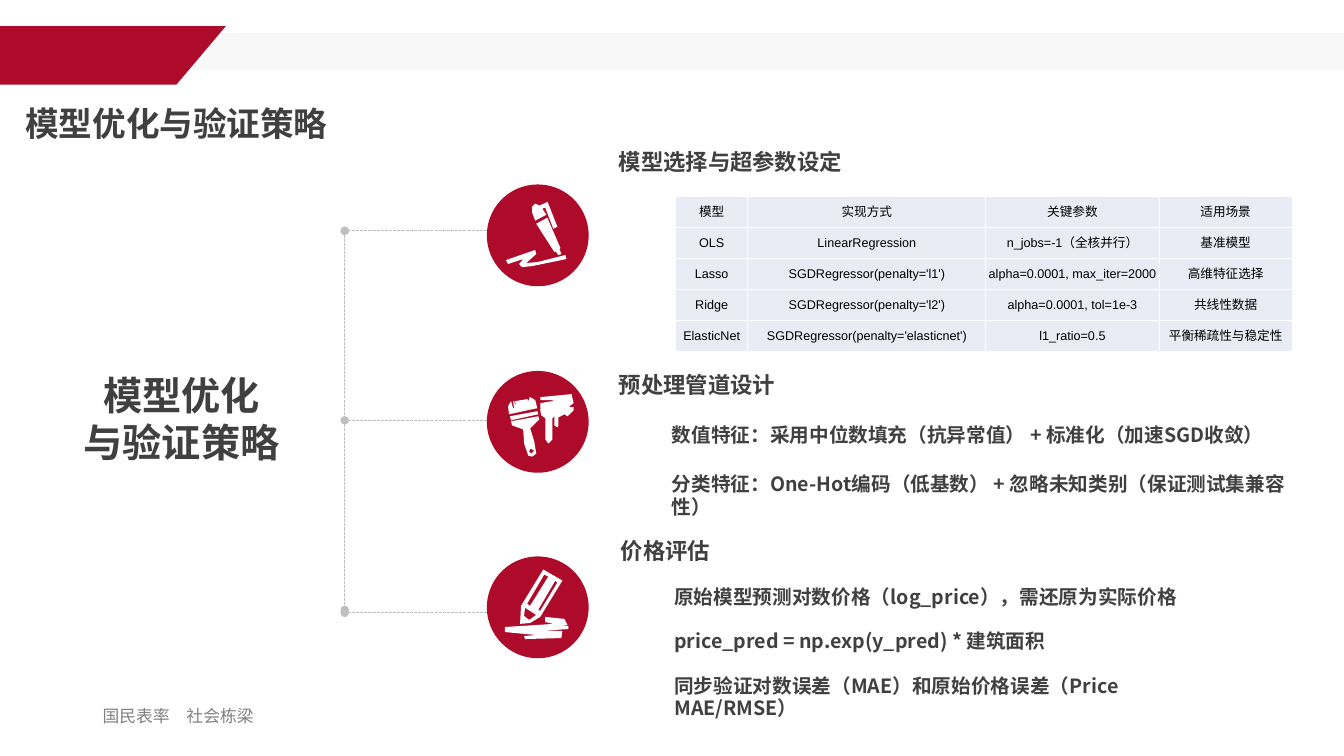
from dataclasses import dataclass

from lxml.etree import SubElement
from pptx import Presentation
from pptx.dml.color import RGBColor
from pptx.enum.dml import MSO_LINE_DASH_STYLE as Dash
from pptx.enum.lang import MSO_LANGUAGE_ID as Language
from pptx.enum.shapes import MSO_CONNECTOR as Connector, MSO_SHAPE as Shape
from pptx.enum.text import MSO_ANCHOR as Anchor, MSO_AUTO_SIZE as AutoSize, PP_ALIGN as Align
from pptx.oxml.ns import qn
from pptx.util import Pt


@dataclass(frozen=True)
class Theme:
    red: str = "AE0B2A"
    band: str = "F2F2F2"
    white: str = "FFFFFF"
    black: str = "000000"
    dark: str = "404040"
    gray: str = "808080"
    line: str = "BFBFBF"
    cell: str = "E9EBF5"
    heading_font: str = "Calibri"
    body_font: str = "Noto Sans CJK SC"
    table_font: str = "Arial"
    hero_size: int = 28
    title_size: int = 24
    heading_size: int = 16
    body_size: int = 14
    footer_size: int = 12
    table_size: int = 9
    unit: float = 0.72


class SlideBuilder:
    def __init__(self, slide, theme):
        self.slide, self.shapes, self.theme = slide, slide.shapes, theme

    def place(self, shape, left, top, width, height):
        shape.left, shape.top = Pt(left), Pt(top)
        shape.width, shape.height = Pt(width), Pt(height)

    def paint(self, shape, color):
        shape.shadow.inherit = False
        shape.fill.solid()
        shape.fill.fore_color.rgb = RGBColor.from_string(color)
        shape.line.fill.background()

    def format(self, paragraph, font, size, color, bold=True, align=Align.LEFT):
        paragraph.alignment = align
        for run in paragraph.runs:
            run.font.name, run.font.size, run.font.bold = font, Pt(size), bold
            run.font.color.rgb = RGBColor.from_string(color)
            run.font.language_id = Language.SIMPLIFIED_CHINESE
            SubElement(run.font._element, qn("a:ea")).set("typeface", font)

    def frame(self, shape, text, inset=True):
        frame = shape.text_frame
        frame.text = text
        frame.word_wrap = True
        frame.auto_size = AutoSize.NONE
        frame.vertical_anchor = Anchor.TOP
        if not inset:
            frame.margin_left = frame.margin_right = frame.margin_top = frame.margin_bottom = 0
        return frame

    def title(self, text, box):
        shape = self.shapes.title
        self.place(shape, *box)
        paragraph = self.frame(shape, text).paragraphs[0]
        self.format(paragraph, self.theme.heading_font, self.theme.title_size, self.theme.dark)

    def body(self, index, lines, box, gap):
        shape = self.slide.placeholders[index]
        self.place(shape, *box)
        for number, paragraph in enumerate(self.frame(shape, "\n".join(lines), False).paragraphs):
            self.format(paragraph, self.theme.body_font, self.theme.body_size, self.theme.dark)
            paragraph.line_spacing = Pt(16)
            paragraph.space_before = Pt(gap if number else 0)
            properties = paragraph._p.get_or_add_pPr()
            properties.set("marL", "0")
            properties.set("indent", "0")
            SubElement(properties, qn("a:buNone"))

    def text(self, text, box, font, size, color, bold=True, align=Align.LEFT, inset=False):
        shape = self.shapes.add_textbox(*map(Pt, box))
        for paragraph in self.frame(shape, text, inset).paragraphs:
            self.format(paragraph, font, size, color, bold, align)

    def heading(self, text, left, top):
        self.text(text, (left, top, 180, 26), self.theme.heading_font,
                  self.theme.heading_size, self.theme.dark)

    def shape(self, kind, box, color, alpha=None):
        shape = self.shapes.add_shape(kind, *map(Pt, box))
        self.paint(shape, color)
        if alpha is not None:
            color_element = shape.fill._xPr.find(qn("a:solidFill"))[0]
            SubElement(color_element, qn("a:alpha")).set("val", str(alpha * 1000))

    def outline(self, contours, left, top, color):
        first, *others = contours
        builder = self.shapes.build_freeform(*first[0], scale=Pt(self.theme.unit))
        builder.add_line_segments(first[1:], close=True)
        for contour in others:
            builder.move_to(*contour[0])
            builder.add_line_segments(contour[1:], close=True)
        self.paint(builder.convert_to_shape(Pt(left), Pt(top)), color)

    def dotted_line(self, *ends):
        connector = self.shapes.add_connector(Connector.STRAIGHT, *map(Pt, ends))
        connector.line.color.rgb = RGBColor.from_string(self.theme.line)
        connector.line.width = Pt(0.75)
        connector.line.dash_style = Dash.SQUARE_DOT
        line = connector.line._get_or_add_ln()
        for end in ("a:headEnd", "a:tailEnd"):
            SubElement(line, qn(end)).set("type", "oval")
        SubElement(connector._element.spPr, qn("a:effectLst"))

    def cell(self, cell, text):
        cell.text = text
        cell.vertical_anchor = Anchor.MIDDLE
        cell.margin_left = cell.margin_right = cell.margin_top = Pt(0.72)
        cell.margin_bottom = 0
        self.format(cell.text_frame.paragraphs[0], self.theme.table_font,
                    self.theme.table_size, self.theme.black, False, Align.CENTER)
        for side in "LRTB":
            border = SubElement(cell._tc.get_or_add_tcPr(), qn(f"a:ln{side}"), w=str(Pt(1)))
            fill = SubElement(border, qn("a:solidFill"))
            SubElement(fill, qn("a:srgbClr")).set("val", self.theme.white)
        cell.fill.solid()
        cell.fill.fore_color.rgb = RGBColor.from_string(self.theme.cell)

    def table(self, rows, left, top, widths, row_height):
        size = Pt(sum(widths)), Pt(row_height * len(rows))
        table = self.shapes.add_table(len(rows), len(widths), Pt(left), Pt(top), *size).table
        table.first_row = table.horz_banding = False
        for column, width in zip(table.columns, widths):
            column.width = Pt(width)
        for row, texts in zip(table.rows, rows):
            row.height = Pt(row_height)
            for cell, text in zip(row.cells, texts):
                self.cell(cell, text)


PEN = [
    [(49, 39), (60, 33), (73, 63), (72, 64), (74, 69), (71, 70), (68, 66), (67, 67)],
    [(19, 75), (21, 79), (36, 74), (32, 79), (35, 82), (45, 81), (79, 74), (78, 70),
     (50, 77), (39, 78), (49, 69), (48, 65)],
    [(52, 21), (48, 19), (45, 22), (45, 28), (48, 36), (59, 30), (55, 24), (58, 23),
     (66, 44), (70, 42), (61, 19), (60, 17), (59, 18)],
]
BRUSHES = [
    [(71, 46), (71, 54), (70, 56), (67, 54), (67, 45), (65, 47), (65, 68), (61, 72), (58, 68),
     (58, 47), (54, 44), (53, 39), (53, 32), (65, 30), (66, 29), (53, 29), (53, 26), (84, 23),
     (86, 32), (82, 35), (82, 36), (86, 36), (86, 39), (80, 45), (77, 43)],
    [(23, 45), (50, 40), (51, 43), (24, 49)],
    [(51, 45), (24, 50), (25, 54), (36, 58), (37, 72), (41, 84), (45, 85), (49, 82),
     (47, 70), (43, 57), (52, 48)],
    [(43, 77), (47, 79), (44, 82), (42, 80)],
    [(50, 37), (48, 29), (43, 26), (42, 27), (42, 30), (40, 28), (28, 30), (29, 37), (27, 30),
     (26, 30), (27, 37), (26, 37), (24, 30), (21, 35), (22, 43)],
]
PENCIL = [
    [(56, 13), (75, 24), (53, 60), (43, 66), (33, 67), (34, 49)],
    [(74, 81), (75, 74), (54, 74), (81, 72), (81, 69), (73, 69), (80, 68), (77, 62), (58, 60),
     (58, 65), (66, 67), (18, 70), (18, 75), (49, 78), (37, 79), (38, 82)],
    [(42, 63), (49, 58), (38, 51), (37, 59)],
    [(68, 24), (51, 53), (53, 54), (70, 26)],
    [(57, 18), (40, 47), (43, 49), (61, 20)],
]
MODELS = [
    ("模型", "实现方式", "关键参数", "适用场景"),
    ("OLS", "LinearRegression", "n_jobs=-1（全核并行）", "基准模型"),
    ("Lasso", "SGDRegressor(penalty='l1')", "alpha=0.0001, max_iter=2000", "高维特征选择"),
    ("Ridge", "SGDRegressor(penalty='l2')", "alpha=0.0001, tol=1e-3", "共线性数据"),
    ("ElasticNet", "SGDRegressor(penalty='elasticnet')", "l1_ratio=0.5", "平衡稀疏性与稳定性"),
]
FEATURES = ["数值特征：采用中位数填充（抗异常值） + 标准化（加速SGD收敛）",
            "分类特征：One-Hot编码（低基数） + 忽略未知类别（保证测试集兼容性）"]
PRICES = ["原始模型预测对数价格（log_price），需还原为实际价格",
          "price_pred = np.exp(y_pred) * 建筑面积",
          "同步验证对数误差（MAE）和原始价格误差（Price MAE/RMSE）"]


def main():
    theme = Theme()
    presentation = Presentation()
    presentation.slide_width, presentation.slide_height = Pt(960), Pt(540)
    builder = SlideBuilder(presentation.slides.add_slide(presentation.slide_layouts[3]), theme)
    builder.text("国民表率　社会栋梁", (66.24, 500.4, 216, 28.8), theme.table_font,
                 theme.footer_size, theme.gray, bold=False, inset=True)
    builder.shape(Shape.RECTANGLE, (54.72, 23.76, 905.28, 25.92), theme.band, alpha=53)
    builder.outline([[(0, 26), (224, 26), (175, 84), (0, 84)]], 0, 0, theme.red)
    builder.title("模型优化与验证策略", (10.8, 69.84, 267, 36))
    for y in (164.88, 300.24, 437.76):
        builder.dotted_line(385.92, y, 246.24, y)
    builder.dotted_line(246.24, 164.88, 246.24, 435.6)
    for icon, top in ((PEN, 131.76), (BRUSHES, 264.96), (PENCIL, 397.44)):
        builder.shape(Shape.OVAL, (347.76, top, 72.72, 72.72), theme.red)
        builder.outline(icon, 347.76, top, theme.white)
    builder.text("模型优化\n与验证策略", (36.72, 264.96, 185.76, 88.56), theme.heading_font,
                 theme.hero_size, theme.dark, align=Align.CENTER)
    builder.heading("模型选择与超参数设定", 442, 105.84)
    builder.heading("预处理管道设计", 442, 264.96)
    builder.heading("价格评估", 443.5, 383.76)
    builder.body(1, FEATURES, (480, 303.12, 453.6, 52), gap=19)
    builder.body(2, PRICES, (481.68, 418.32, 397.44, 120), gap=16)
    builder.table(MODELS, 482.4, 140.4, (51.84, 169.92, 123.84, 95.04), 22.1)
    presentation.save("out.pptx")


if __name__ == "__main__":
    main()
